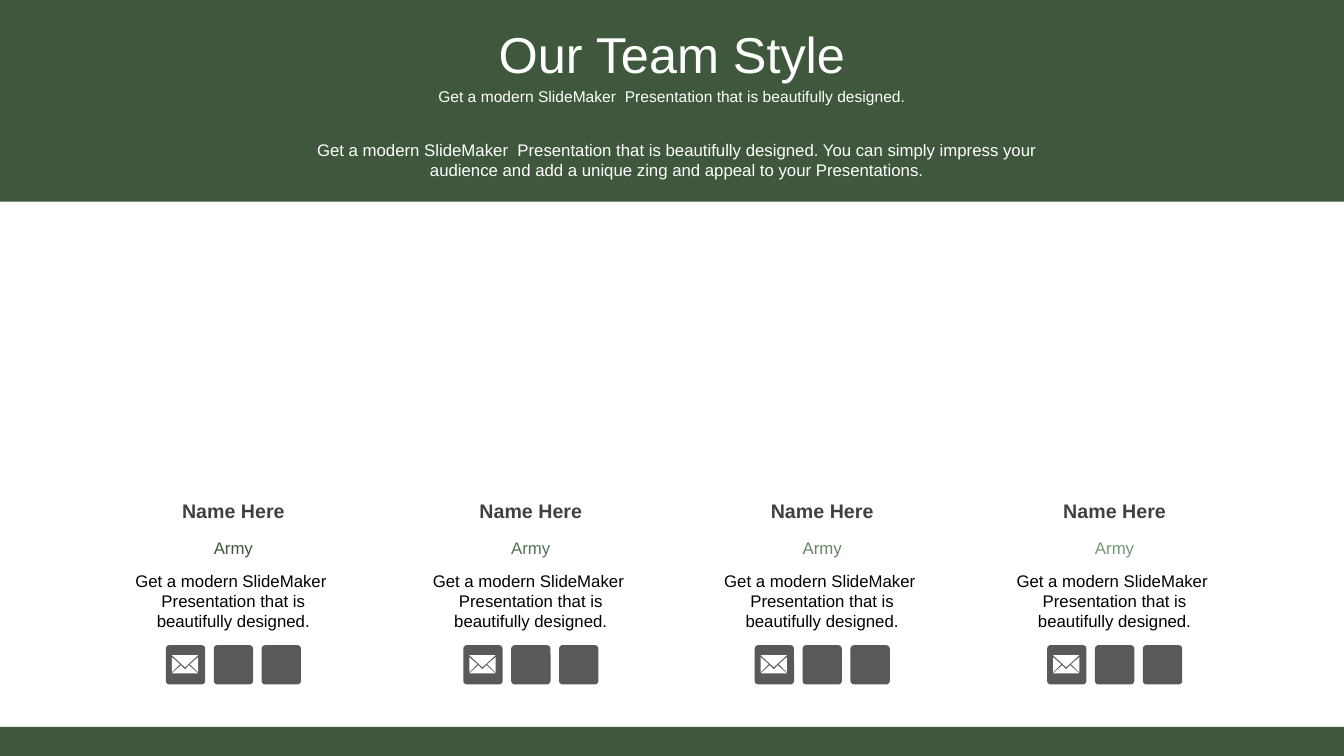
from dataclasses import dataclass

from pptx import Presentation, util as u
from pptx.dml.color import RGBColor
from pptx.enum import shapes, text

# Content
TITLE = "Our Team Style"
SUBTITLE = "Get a modern SlideMaker  Presentation that is beautifully designed."
INTRO = ("Get a modern SlideMaker  Presentation that is beautifully designed. "
         "You can simply impress your audience and add a unique zing and appeal "
         "to your Presentations.")
ABOUT = "Get a modern SlideMaker  Presentation that is beautifully designed."
# name, role, colour of the role, left edge of the column
MEMBERS = [
    ("Name Here", "Army", "3F573C", 1.23),
    ("Name Here", "Army", "537152", 4.18),
    ("Name Here", "Army", "638564", 7.07),
    ("Name Here", "Army", "759774", 9.97),
]
# Pieces of the envelope, in hundredths of an inch from the icon's corner
ENVELOPE = [
    [(23, 20), (19, 24), (15, 20), (6, 28), (32, 28)],
    [(32, 12), (25, 18), (24, 19), (32, 27)],
    [(6, 12), (6, 27), (14, 19)],
    [(6, 10), (19, 22), (32, 10)],
]


@dataclass(frozen=True)
class Theme:
    font: str = "Arial"
    green: str = "3F573C"
    white: str = "FFFFFF"
    name: str = "404040"
    body: str = "000000"
    icon: str = "595959"
    title_size: float = 36
    subtitle_size: float = 11.1
    name_size: float = 14
    body_size: float = 12


THEME = Theme()

# Grid, in inches
WIDTH, HEIGHT = 13.33, 7.5
HEADER_H, FOOTER_H = 2, 0.29
COLUMN_W = 2.17
NAME_TOP, ROLE_TOP, ABOUT_TOP, ICON_TOP = 4.9, 5.26, 5.61, 6.4
LINE_H, ABOUT_H = 0.35, 0.71
ICON, ICON_STEP, ICONS = 0.39, 0.475, 3
ICON_INDENT = (COLUMN_W - ICON - ICON_STEP * (ICONS - 1)) / 2

prs = Presentation()
prs.slide_width, prs.slide_height = u.Inches(WIDTH), u.Inches(HEIGHT)
slide = prs.slides.add_slide(prs.slide_layouts[6])


def paint(shape, color):
    shape.fill.solid()
    shape.fill.fore_color.rgb = RGBColor.from_string(color)
    shape.line.fill.background()
    shape.shadow.inherit = False


def block(kind, left, top, width, height, color):
    shape = slide.shapes.add_shape(kind, *map(u.Inches, (left, top, width, height)))
    paint(shape, color)
    return shape


def write(words, left, top, width, height, size, color,
          bold=False, middle=False, spacing=None):
    box = slide.shapes.add_textbox(*map(u.Inches, (left, top, width, height)))
    frame = box.text_frame
    frame.word_wrap = True
    if middle:
        frame.vertical_anchor = text.MSO_ANCHOR.MIDDLE
    line = frame.paragraphs[0]
    line.text = words
    line.alignment = text.PP_ALIGN.CENTER
    line.line_spacing = spacing
    line.font.name, line.font.size, line.font.bold = THEME.font, u.Pt(size), bold
    line.font.color.rgb = RGBColor.from_string(color)


def envelope(left, top):
    first, *others = ENVELOPE
    pen = slide.shapes.build_freeform(*first[0], scale=u.Inches(0.01))
    pen.add_line_segments(first[1:], close=True)
    for piece in others:
        pen.move_to(*piece[0])
        pen.add_line_segments(piece[1:], close=True)
    paint(pen.convert_to_shape(u.Inches(left), u.Inches(top)), THEME.white)


# Header and footer bands
RECT = shapes.MSO_SHAPE.RECTANGLE
block(RECT, 0, 0, WIDTH, HEADER_H, THEME.green)
block(RECT, 0, HEIGHT - FOOTER_H, WIDTH, FOOTER_H, THEME.green)
write(TITLE, 0, 0.29, WIDTH, 0.55, THEME.title_size, THEME.white,
      middle=True, spacing=0.9)
write(SUBTITLE, 0, 0.86, WIDTH, 0.24, THEME.subtitle_size, THEME.white,
      middle=True, spacing=0.7)
write(INTRO, 2.89, 1.34, 7.65, 0.58, THEME.body_size, THEME.white)

# Team columns
for name, role, role_color, left in MEMBERS:
    write(name, left, NAME_TOP, COLUMN_W, LINE_H, THEME.name_size, THEME.name, bold=True)
    write(role, left, ROLE_TOP, COLUMN_W, LINE_H, THEME.body_size, role_color, middle=True)
    write(ABOUT, left, ABOUT_TOP, COLUMN_W, ABOUT_H, THEME.body_size, THEME.body)

    # Contact icons: mail first, then plain tiles
    icon_left = left + ICON_INDENT
    for i in range(ICONS):
        tile = block(shapes.MSO_SHAPE.ROUNDED_RECTANGLE, icon_left + i * ICON_STEP,
                     ICON_TOP, ICON, ICON, THEME.icon)
        tile.adjustments[0] = 0.09
    envelope(icon_left, ICON_TOP)

prs.save("out.pptx")
